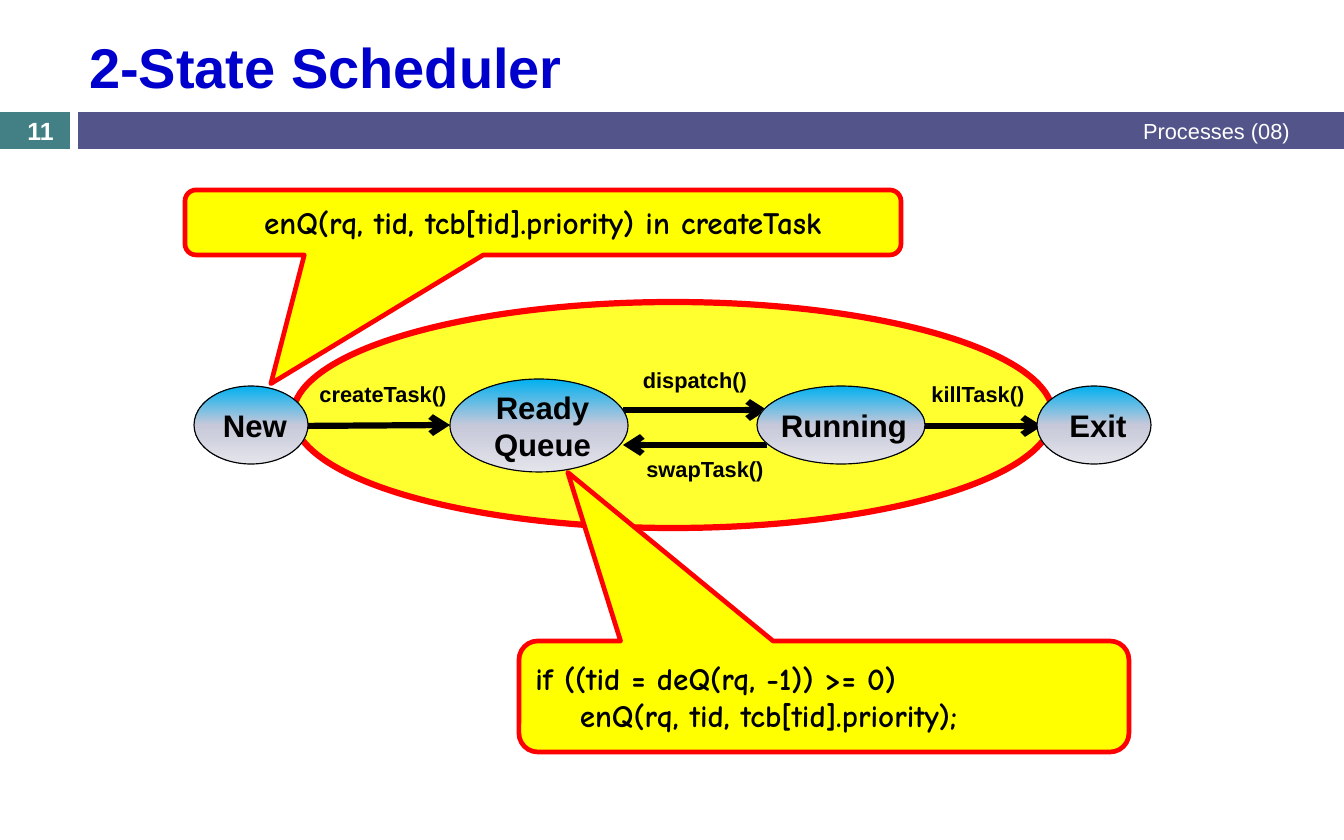
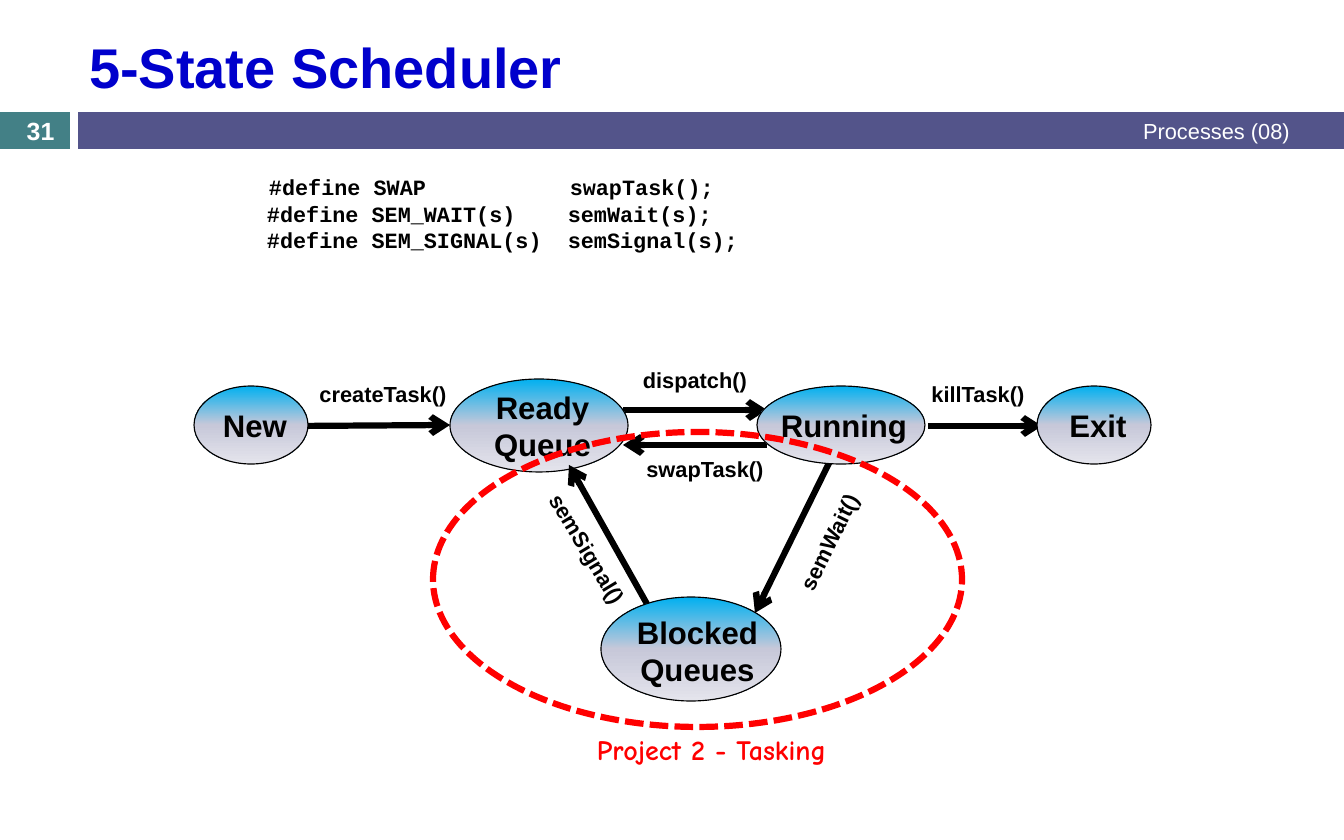
from copy import deepcopy
from dataclasses import dataclass

from pptx import Presentation
from pptx.dml.color import RGBColor
from pptx.enum.dml import MSO_LINE
from pptx.enum.shapes import MSO_CONNECTOR, MSO_SHAPE
from pptx.enum.text import MSO_ANCHOR, PP_ALIGN
from pptx.oxml.ns import qn
from pptx.oxml.xmlchemy import OxmlElement
from pptx.util import Pt

PX = 914400 / 112


@dataclass(frozen=True)
class Theme:
    teal = RGBColor.from_string("438086")
    indigo = RGBColor.from_string("53548A")
    red = RGBColor.from_string("FF0000")
    yellow = RGBColor.from_string("FFFF00")
    black = RGBColor.from_string("000000")
    state_stops = ((0, "00B0F0"), (0.5, "C7C8D9"), (1, "E4E4EC"))
    title = ("Arial", 36, "0000CC", True)
    footer = ("Arial", 14, "FFFFFF", False)
    number = ("Arial", 16, "FFFFFF", True)
    state = ("Arial", 20, "000000", True)
    label = ("Arial", 14, "000000", True)
    code = ("Courier New", 14, "000000", True)
    callout = ("Comic Neue", 20, "000000", True)
    project = ("Comic Neue", 18, "FF0000", True)
    heavy = Pt(4)
    medium = Pt(3)
    thin = Pt(0.75)


theme = Theme()


def add_box(shapes, box, kind=None, fill=None, line=None, width=None):
    lengths = [round(value * PX) for value in box]
    if kind is None:
        shape = shapes.add_textbox(*lengths)
        shape.text_frame.word_wrap = True
        return shape
    shape = shapes.add_shape(kind, *lengths)
    shape.shadow.inherit = False
    if fill is None:
        shape.fill.background()
    else:
        shape.fill.solid()
        shape.fill.fore_color.rgb = fill
    if line is None:
        shape.line.fill.background()
    else:
        shape.line.color.rgb = line
        shape.line.width = width
    return shape


def write_text(shape, text, style, align=PP_ALIGN.CENTER, anchor=MSO_ANCHOR.TOP):
    font_name, size, color, bold = style
    shape.text_frame.text = text
    shape.text_frame.vertical_anchor = anchor
    for paragraph in shape.text_frame.paragraphs:
        paragraph.alignment = align
        for run in paragraph.runs:
            run.font.name = font_name
            run.font.size = Pt(size)
            run.font.bold = bold
            run.font.color.rgb = RGBColor.from_string(color)


presentation = Presentation()
presentation.slide_width = round(1344 * PX)
presentation.slide_height = round(840 * PX)

new = ("New", (194, 386, 114, 78), (195, 401, 120, 49))
ready = ("Ready\nQueue", (450, 379, 178, 93), (449, 383, 187, 86))
running = ("Running", (757, 386, 168, 78), (766, 401, 156, 49))
exited = ("Exit", (1037, 386, 114, 78), (1038, 401, 120, 49))
blocked = ("Blocked\nQueues", (601, 597, 180, 104), (603, 608, 189, 86))

task_arrows = [
    (293, 426, 450, 425),
    (623, 410, 767, 410),
    (767, 445, 623, 445),
]
semaphore_arrows = [(836, 449, 755, 613), (647, 604, 569, 465)]

task_labels = [
    ("createTask()", (293, 375, 180, 38), 0),
    ("dispatch()", (605, 361, 180, 38), 0),
    ("swapTask()", (615, 450, 180, 38), 0),
    ("killTask()", (888, 375, 180, 38), 0),
]
semaphore_labels = [
    ("semWait()", (734, 523, 190, 38), 296.3),
    ("semSignal()", (505, 530, 164, 38), 59),
]

schedulers = [
    ("2-State Scheduler", "11", 921, [], [running], []),
    ("5-State Scheduler", "31", 928, semaphore_arrows, [blocked, running], semaphore_labels),
]

slides = []
for title, number, kill_start, extra_arrows, front_states, extra_labels in schedulers:
    slide = presentation.slides.add_slide(presentation.slide_layouts[6])
    slides.append(slide)
    shapes = slide.shapes
    add_box(shapes, (0, 112, 70, 37), MSO_SHAPE.RECTANGLE, theme.teal)
    add_box(shapes, (78, 112, 1266, 37), MSO_SHAPE.RECTANGLE, theme.indigo)
    for text, box, style, align in [
        (title, (78, 21, 1222, 90), theme.title, PP_ALIGN.LEFT),
        ("Processes (08)", (691, 112, 610, 37), theme.footer, PP_ALIGN.RIGHT),
        (number, (0, 114, 81, 34), theme.number, PP_ALIGN.CENTER),
    ]:
        write_text(add_box(shapes, box), text, style, align, MSO_ANCHOR.MIDDLE)

    if slide is slides[0]:
        kernel = add_box(shapes, (293, 302, 760, 226), MSO_SHAPE.OVAL,
                         theme.yellow, theme.red, theme.heavy)
        alpha = OxmlElement("a:alpha")
        alpha.set("val", "81000")
        kernel.fill._xPr.find(qn("a:solidFill"))[0].append(alpha)

    kill_arrow = (kill_start, 426, 1042, 426)
    layers = [
        (task_arrows + [kill_arrow], [new, ready, exited]),
        (extra_arrows, front_states),
    ]
    for arrows, states in layers:
        for ends in arrows:
            arrow = shapes.add_connector(MSO_CONNECTOR.STRAIGHT,
                                         *[round(value * PX) for value in ends])
            arrow.line.color.rgb = theme.black
            arrow.line.width = theme.heavy
            head = OxmlElement("a:tailEnd")
            head.set("type", "arrow")
            arrow.line._get_or_add_ln().append(head)
            arrow._element.spPr.append(OxmlElement("a:effectLst"))

        for name, oval_box, name_box in states:
            group = shapes.add_group_shape()
            oval = add_box(group.shapes, oval_box, MSO_SHAPE.OVAL,
                           theme.yellow, theme.black, theme.thin)
            oval.fill.gradient()
            oval.fill.gradient_angle = 270
            stop_list = oval._element.spPr.find(".//" + qn("a:gsLst"))
            stop_list.append(deepcopy(stop_list[0]))
            for stop, (position, color) in zip(oval.fill.gradient_stops, theme.state_stops):
                stop.position = position
                stop.color.rgb = RGBColor.from_string(color)
            write_text(add_box(group.shapes, name_box), name, theme.state)

    for text, box, rotation in task_labels + extra_labels:
        label = add_box(shapes, box)
        label.rotation = rotation
        write_text(label, text, theme.label)

two_state, five_state = slides

callouts = [
    ("if ((tid = deQ(rq, -1)) >= 0)\n    enQ(rq, tid, tcb[tid].priority);",
     (519, 641, 610, 111), (-0.42, -2.02, 0.17), 11, False, PP_ALIGN.LEFT),
    ("enQ(rq, tid, tcb[tid].priority) in createTask",
     (185, 190, 716, 65), (-0.38, 2.48, 0.17), 0, True, PP_ALIGN.CENTER),
]
for text, box, adjustments, side_margin, wrap, align in callouts:
    callout = add_box(two_state.shapes, box, MSO_SHAPE.ROUNDED_RECTANGULAR_CALLOUT,
                      theme.yellow, theme.red, theme.medium)
    for index, value in enumerate(adjustments):
        callout.adjustments[index] = value
    frame = callout.text_frame
    frame.margin_left = frame.margin_right = round(side_margin * PX)
    frame.margin_top = frame.margin_bottom = 0
    frame.word_wrap = wrap
    write_text(callout, text, theme.callout, align, MSO_ANCHOR.MIDDLE)

for text, box in [
    ("#define SWAP           swapTask();", (258, 168, 702, 38)),
    ("#define SEM_WAIT(s)    semWait(s);\n#define SEM_SIGNAL(s)  semSignal(s);",
     (256, 195, 702, 64)),
]:
    write_text(add_box(five_state.shapes, box), text, theme.code, PP_ALIGN.LEFT)

project_outline = add_box(five_state.shapes, (433, 432, 529, 295), MSO_SHAPE.OVAL,
                          None, theme.red, theme.heavy)
project_outline.line.dash_style = MSO_LINE.SQUARE_DOT
project_name = add_box(five_state.shapes, (495, 727, 433, 45))
write_text(project_name, "Project 2 - Tasking", theme.project)

presentation.save("out.pptx")
